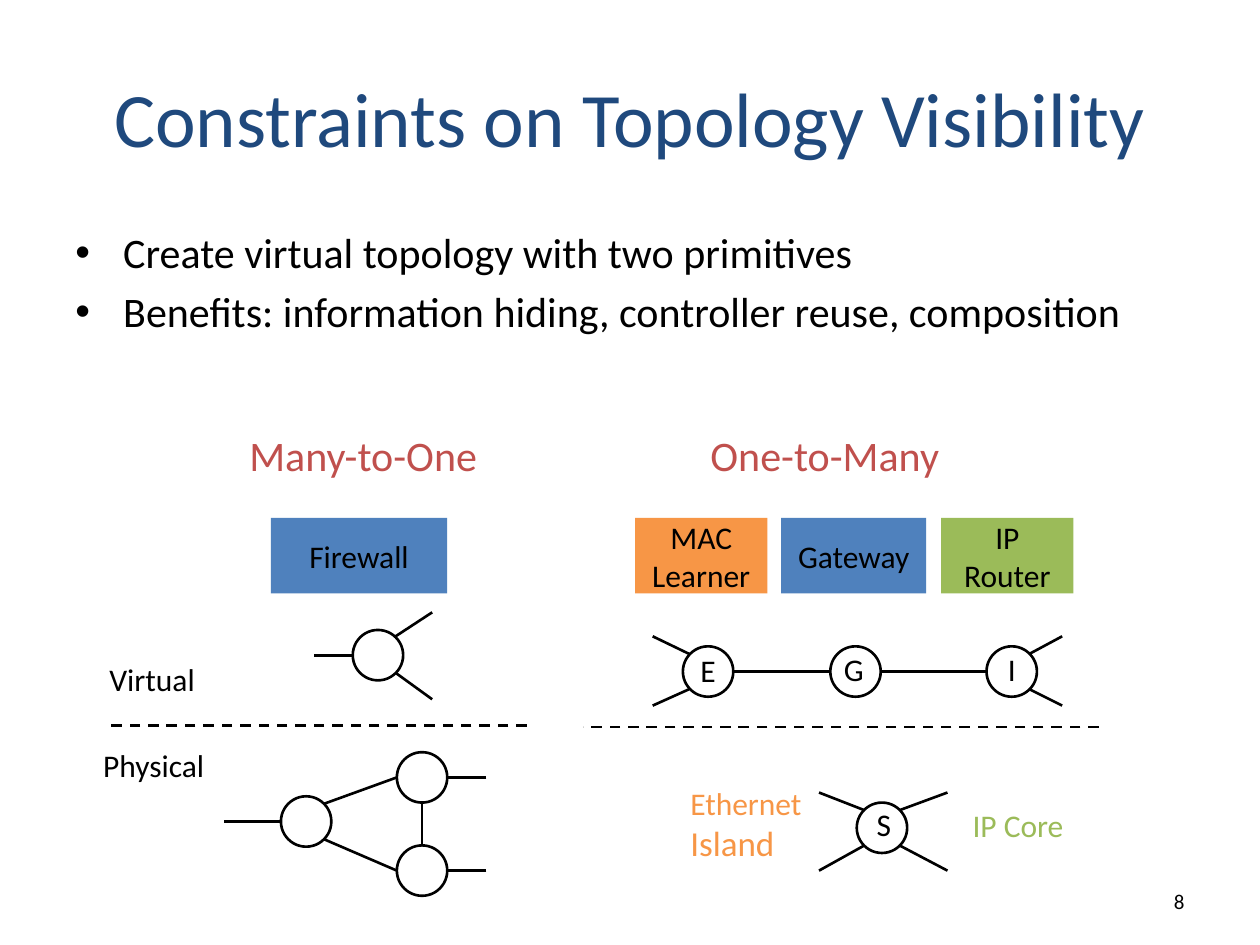
from pptx import Presentation
from pptx import util as u
from pptx.dml.color import RGBColor
from pptx.enum import dml, shapes, text
from pptx.oxml import parse_xml
from pptx.oxml.ns import nsdecls, qn
from lxml import etree

BLACK, NAVY, RED = "000000", "1F497D", "C0504D"
BLUE, ORANGE, GREEN = "4F81BD", "F79646", "9BBB59"
LEFT, MID, RIGHT = text.PP_ALIGN.LEFT, text.PP_ALIGN.CENTER, text.PP_ALIGN.RIGHT
TOP, CENTER = text.MSO_ANCHOR.TOP, text.MSO_ANCHOR.MIDDLE


def hue(code):
    return RGBColor.from_string(code)


class Pen:
    """Draws styled elements on the current slide."""

    def __init__(self, slide, font="Calibri", weight=1.5, node=0.4):
        self.slide = slide
        self.font = font
        self.weight = weight
        self.node = node

    def letter(self, shape, words, size, color, align, anchor):
        frame = shape.text_frame
        frame.text = words
        frame.word_wrap = True
        frame.vertical_anchor = anchor
        for para in frame.paragraphs:
            para.alignment = align
            for run in para.runs:
                run.font.name = self.font
                run.font.size = u.Pt(size)
                run.font.color.rgb = hue(color)
        return frame

    def label(self, words, x, y, w, h, size=18, color=BLACK, align=LEFT, anchor=TOP):
        box = self.slide.shapes.add_textbox(*map(u.Inches, (x, y, w, h)))
        return self.letter(box, words, size, color, align, anchor)

    def bullets(self, words, x, y, w, h, size=24, indent=0.38):
        frame = self.label(words, x, y, w, h, size)
        for para in frame.paragraphs:
            para.space_before = u.Pt(size * 0.2)
            props = para._p.get_or_add_pPr()
            props.set("marL", str(u.Inches(indent)))
            props.set("indent", str(-u.Inches(indent)))
            props.append(parse_xml(f'<a:buFont {nsdecls("a")} typeface="Arial"/>'))
            props.append(parse_xml(f'<a:buChar {nsdecls("a")} char="•"/>'))

    def shape(self, kind, x, y, w, h):
        item = self.slide.shapes.add_shape(kind, *map(u.Inches, (x, y, w, h)))
        item.shadow.inherit = False
        return item

    def block(self, words, x, w, color, y=4.11, h=0.6):
        item = self.shape(shapes.MSO_SHAPE.RECTANGLE, x, y, w, h)
        item.fill.solid()
        item.fill.fore_color.rgb = hue(color)
        item.line.fill.background()
        self.letter(item, words, 18, BLACK, MID, CENTER)

    def circle(self, x, y):
        item = self.shape(shapes.MSO_SHAPE.OVAL, x, y, self.node, self.node)
        item.fill.background()
        item.line.color.rgb = hue(BLACK)
        item.line.width = u.Pt(self.weight)

    def line(self, x1, y1, x2, y2, dash=False):
        item = self.slide.shapes.add_connector(
            shapes.MSO_CONNECTOR.STRAIGHT, *map(u.Inches, (x1, y1, x2, y2)))
        item.line.color.rgb = hue(BLACK)
        item.line.width = u.Pt(self.weight)
        if dash:
            item.line.dash_style = dml.MSO_LINE.DASH
        etree.SubElement(item._element.spPr, qn("a:effectLst"))


def main():
    deck = Presentation()
    deck.slide_width, deck.slide_height = u.Inches(10), u.Inches(7.5)
    pen = Pen(deck.slides.add_slide(deck.slide_layouts[6]))

    pen.label("Constraints on Topology Visibility", 0.5, 0.3, 9, 1.25,
              44, NAVY, MID, CENTER)
    pen.bullets("Create virtual topology with two primitives\n"
                "Benefits: information hiding, controller reuse, composition",
                0.5, 1.75, 9, 4.95)
    pen.label("8", 7.17, 6.95, 2.33, 0.4, 12, BLACK, RIGHT, CENTER)

    for words, x in (("Many-to-One", 1.88), ("One-to-Many", 5.54)):
        pen.label(words, x, 3.36, 2.18, 0.5, 24, RED)

    for words, x, w, color in (
        ("Firewall", 2.15, 1.4, BLUE),
        ("MAC\nLearner", 5.04, 1.05, ORANGE),
        ("Gateway", 6.2, 1.15, BLUE),
        ("IP Router", 7.47, 1.05, GREEN),
    ):
        pen.block(words, x, w, color)

    for x, y in ((2.8, 5), (2.23, 6.32), (3.15, 5.97), (3.15, 6.71),
                 (5.42, 5.13), (6.59, 5.13), (7.83, 5.13), (6.8, 6.37)):
        pen.circle(x, y)

    for ends in (
        (2.8, 5.2, 2.49, 5.2), (3.43, 4.86, 3.14, 5.05), (3.43, 5.55, 3.14, 5.34),
        (2.23, 6.52, 1.78, 6.52), (3.15, 6.17, 2.57, 6.38),
        (3.15, 6.91, 2.57, 6.66), (3.35, 6.71, 3.35, 6.37),
        (3.86, 6.17, 3.55, 6.17), (3.86, 6.91, 3.55, 6.91),
        (5.47, 5.19, 5.18, 5.05), (5.47, 5.47, 5.18, 5.6),
        (6.59, 5.33, 5.82, 5.33), (7.83, 5.33, 6.99, 5.33),
        (8.43, 5.05, 8.17, 5.19), (8.43, 5.6, 8.17, 5.47),
        (6.86, 6.43, 6.5, 6.29), (6.86, 6.71, 6.5, 6.91),
        (7.52, 6.29, 7.14, 6.43), (7.52, 6.91, 7.14, 6.71),
    ):
        pen.line(*ends)
    pen.line(4.18, 5.76, 0.88, 5.76, dash=True)
    pen.line(8.72, 5.77, 4.63, 5.77, dash=True)

    for words, x, y in (("E", 5.46, 5.12), ("G", 6.6, 5.11),
                        ("I", 7.9, 5.11), ("S", 6.86, 6.34)):
        pen.label(words, x, y, 0.4, 0.4, anchor=CENTER)

    pen.label("Virtual", 0.77, 5.19, 1.16, 0.4)
    pen.label("Physical", 0.72, 5.87, 1.16, 0.4)
    pen.label("IP Core", 7.62, 6.35, 1.29, 0.4, color=GREEN)
    isle = pen.label("Ethernet\nIsland", 5.38, 6.17, 1.92, 0.74, color=ORANGE)
    isle.paragraphs[1].runs[0].font.size = u.Pt(20)

    deck.save("out.pptx")


if __name__ == "__main__":
    main()
